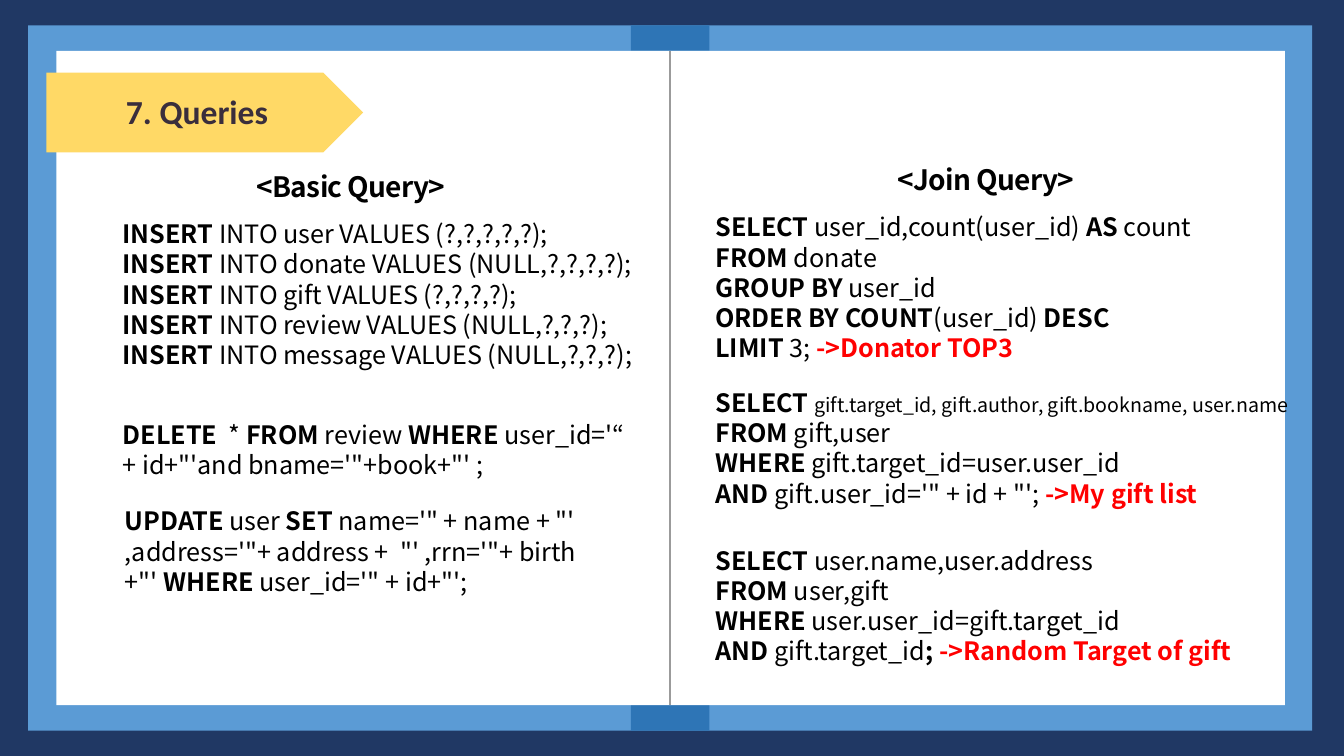
import pptx
import pptx.dml.color
import pptx.enum.shapes
import pptx.enum.text
import pptx.oxml
import pptx.oxml.ns
import pptx.util
from dataclasses import dataclass

Cm = pptx.util.Cm
Pt = pptx.util.Pt
Kind = pptx.enum.shapes.MSO_SHAPE
Align = pptx.enum.text.PP_ALIGN


@dataclass(frozen=True)
class Theme:
    """Colours, fonts and type sizes of the slide."""
    navy: str = "203864"
    blue: str = "5B9BD5"
    tab: str = "2E75B6"
    page: str = "FFFFFF"
    gold: str = "FFD966"
    plum: str = "3A2E3C"
    fold: str = "9B9B9B"
    ink: str = "000000"
    red: str = "FF0000"
    sans: str = "Calibri"
    code: str = "Noto Sans CJK KR"
    title: int = 24
    head: int = 20
    body: int = 18
    small: int = 14
    gap: int = 12


@dataclass(frozen=True)
class Panel:
    """A filled shape: left, top, width and height in cm."""
    box: tuple[float, float, float, float]
    fill: str
    kind: Kind = Kind.RECTANGLE


@dataclass(frozen=True)
class Query:
    """Lines of SQL. Bars switch bold and plain, ! is red bold, ~ is small."""
    box: tuple[float, float, float, float]
    lines: tuple[str, ...]


T = Theme()
WIDE, HIGH = 33.87, 19.05
EDGE = 0.64
TOP, BASE = 2 * EDGE, HIGH - 2 * EDGE
FOLD = 16.89
LEFT, RIGHT = 2.84, 17.78

PANELS = (
    Panel((0, 0, WIDE, HIGH), T.navy),
    Panel((0.71, EDGE, 32.36, HIGH - 2 * EDGE), T.blue),
    *(Panel((15.9, y, 1.98, EDGE), T.tab) for y in (EDGE, BASE)),
    Panel((1.42, TOP, 30.96, BASE - TOP), T.page),
    Panel((1.17, 1.83, 7.98, 2.01), T.gold, Kind.PENTAGON),
)
HEADS = (
    ((6.17, 3.63, 5.44, 1.63), "<Basic Query>"),
    ((22.33, 3.45, 5.13, 1.63), "<Join Query>"),
)
FIELDS = {
    "user": "?,?,?,?,?",
    "donate": "NULL,?,?,?,?",
    "gift": "?,?,?,?",
    "review": "NULL,?,?,?",
    "message": "NULL,?,?,?",
}
QUERIES = (
    Query((LEFT, 5.38, 13.69, 4.11), tuple(
        f"INSERT| INTO {name} VALUES ({marks});" for name, marks in FIELDS.items())),
    Query((LEFT, 10.44, 16.94, 1.8), (
        "DELETE  |* |FROM |review |WHERE |user_id='“",
        "|+ id+\"'and bname='\"+book+\"' ; ")),
    Query((2.9, 12.62, 16.94, 2.57), (
        "UPDATE |user |SET |name='\" + name + \"' ",
        "|,address='\"+ address +  \"' ,rrn='\"+ birth",
        "|+\"' |WHERE |user_id='\" + id+\"';")),
    Query((RIGHT, 5.21, 16.94, 4.11), (
        "SELECT |user_id,count(user_id) |AS |count ",
        "FROM |donate ",
        "GROUP BY |user_id ",
        "ORDER BY COUNT|(user_id) |DESC ",
        "LIMIT| 3; |!->Donator TOP3")),
    Query((RIGHT, 9.63, 18.01, 3.33), (
        "SELECT |~gift.target_id, gift.author, gift.bookname, user.name",
        "FROM |gift,user",
        "WHERE |gift.target_id=user.user_id ",
        "AND |gift.user_id='\" + id + \"'; |!->My gift list")),
    Query((RIGHT, 13.61, 21.97, 3.33), (
        "SELECT |user.name,user.address ",
        "FROM |user,gift ",
        "WHERE |user.user_id=gift.target_id ",
        "AND |gift.target_id|; |!->Random Target of gift")),
)


def tint(code: str) -> pptx.dml.color.RGBColor:
    """Turn a hex code into a colour."""
    return pptx.dml.color.RGBColor.from_string(code)


def panel(slide, item: Panel) -> None:
    """Draw a filled shape without an outline."""
    shape = slide.shapes.add_shape(item.kind, *map(Cm, item.box))
    shape.shadow.inherit = False
    shape.fill.solid()
    shape.fill.fore_color.rgb = tint(item.fill)
    shape.line.fill.background()


def frame(slide, box: tuple, wrap: bool = True):
    """Add a text box and return its text frame."""
    area = slide.shapes.add_textbox(*map(Cm, box)).text_frame
    area.word_wrap = wrap
    return area


def write(para, text: str, size: int, bold: bool, color: str = T.ink,
          name: str = T.code):
    """Add one formatted run to a paragraph."""
    run = para.add_run()
    run.text = text
    style = {"size": Pt(size), "bold": bold, "name": name}
    for key, value in style.items():
        setattr(run.font, key, value)
    run.font.color.rgb = tint(color)
    return run


def title(slide) -> None:
    """Write the title on the gold arrow."""
    para = frame(slide, (0.89, 2.16, 8.15, 1.27)).paragraphs[0]
    para.alignment = Align.CENTER
    write(para, "7. Queries", T.title, True, T.plum, T.sans)


def head(slide, box: tuple, text: str) -> None:
    """Write a centred, tightly spaced column heading."""
    para = frame(slide, box, False).paragraphs[0]
    para.alignment = Align.CENTER
    para.line_spacing = Pt(38.4)
    for part, size, bold in ((text, T.head, True), (" ", T.gap, False)):
        run = write(para, part, size, bold)
        run.font._element.set("spc", "-50")


def query(slide, item: Query) -> None:
    """Write a block of SQL, one paragraph a line."""
    area = frame(slide, item.box)
    for row, line in enumerate(item.lines):
        para = area.add_paragraph() if row else area.paragraphs[0]
        para.line_spacing = Pt(21.6)
        for spot, part in enumerate(line.split("|")):
            if not part:
                continue
            note, small = part[0] == "!", part[0] == "~"
            write(para, part[1:] if note or small else part,
                  T.small if small else T.body,
                  note or spot % 2 == 0, T.red if note else T.ink)


def fold(slide) -> None:
    """Draw the line between the two pages."""
    ends = map(Cm, (FOLD, TOP, FOLD, BASE))
    line = slide.shapes.add_connector(
        pptx.enum.shapes.MSO_CONNECTOR.STRAIGHT, *ends)
    line.line.color.rgb = tint(T.fold)
    line.line.width = Pt(1.5)
    line._element.spPr.append(
        pptx.oxml.parse_xml(f"<a:effectLst {pptx.oxml.ns.nsdecls('a')}/>"))


def main() -> None:
    """Build and save the slide."""
    deck = pptx.Presentation()
    deck.slide_width, deck.slide_height = Cm(WIDE), Cm(HIGH)
    slide = deck.slides.add_slide(deck.slide_layouts[6])
    for item in PANELS:
        panel(slide, item)
    title(slide)
    fold(slide)
    for box, text in HEADS:
        head(slide, box, text)
    for item in QUERIES:
        query(slide, item)
    deck.save("out.pptx")


main()
